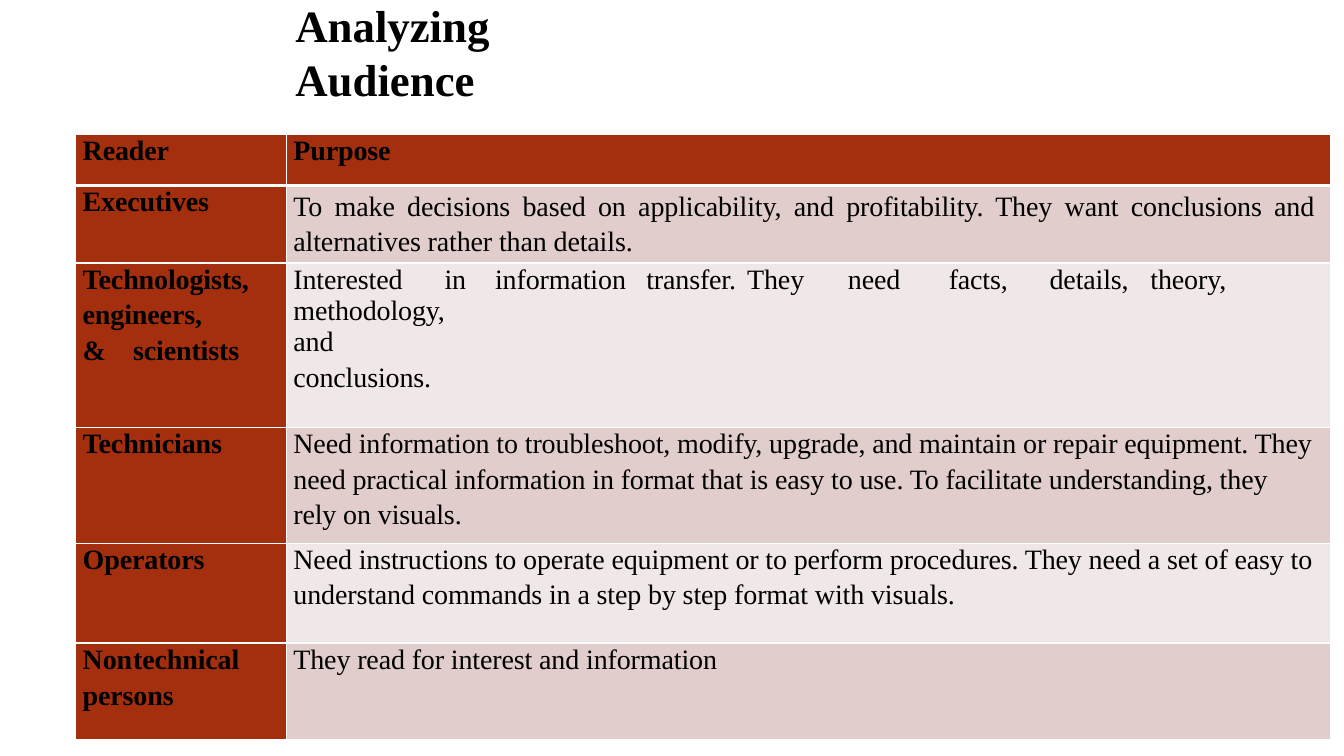
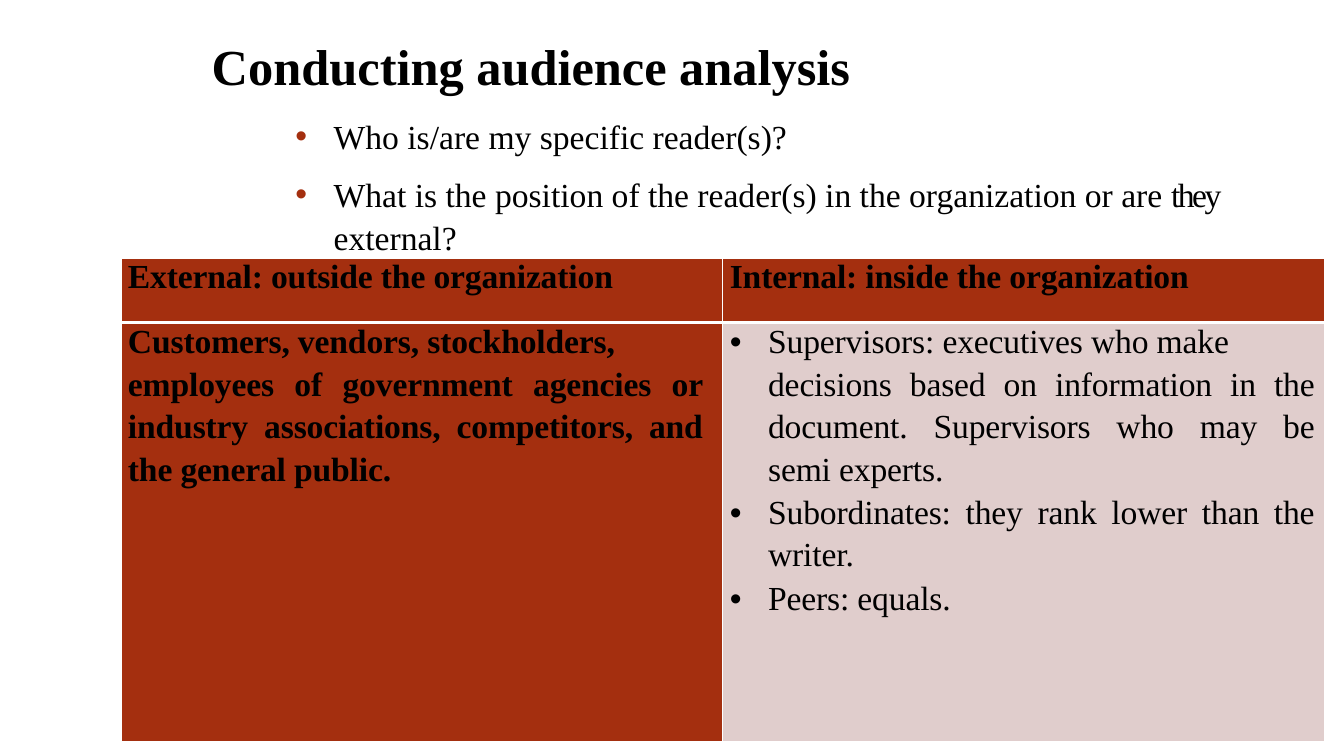
"""Build two slides on analyzing the audience of a technical document."""
from dataclasses import dataclass
from typing import Any, NamedTuple

import lxml.etree
import pptx
import pptx.dml.color
import pptx.enum.text
import pptx.oxml.ns
import pptx.util

Inches, Pt = pptx.util.Inches, pptx.util.Pt
RGBColor = pptx.dml.color.RGBColor
Align, Anchor = pptx.enum.text.PP_ALIGN, pptx.enum.text.MSO_ANCHOR
qn = pptx.oxml.ns.qn

RUST = RGBColor(0xA4, 0x2F, 0x0F)
ROSE = RGBColor(0xE0, 0xCD, 0xCC)
PALE = RGBColor(0xEF, 0xE8, 0xE7)
BLACK = RGBColor(0, 0, 0)
WHITE = RGBColor(0xFF, 0xFF, 0xFF)
WIDTH, HEIGHT = Inches(13.33), Inches(7.5)
FONT = {"name": "Times New Roman"}
TITLE_ONLY, TITLE_AND_BODY = 5, 1
THIN, THICK = 1, 3


class Box(NamedTuple):
    """Place and size in percent of the slide."""

    left: float
    top: float
    width: float
    height: float


class Run(NamedTuple):
    """Text with its letter spacing in points."""

    text: str
    spacing: float = 0


@dataclass(frozen=True)
class Para:
    """One paragraph and its layout."""

    runs: tuple[Run, ...]
    before: float = 0.8
    pitch: float = 1.0
    align: Any = Align.LEFT
    indent: float = 0
    hang: float = 0
    bullet: RGBColor | None = None
    tabs: tuple[float, ...] = ()


@dataclass(frozen=True)
class Cell:
    """Paragraphs of a table cell and its right margin in inches."""

    paras: list[Para]
    right: float = 0


@dataclass(frozen=True)
class Grid:
    """Table position, column and row shares, text size and cells."""

    left: float
    top: float
    cols: list[float]
    rows: list[float]
    size: int
    cells: list[list[Cell]]


def line(text: str, **layout: Any) -> Para:
    """Return a table paragraph with slightly tight letters."""
    return Para((Run(text, -0.1),), **layout)


def lines(first: str, *rest: str) -> Cell:
    """Return a cell whose later lines are set wider apart."""
    return Cell([line(first)] + [line(t, before=0, pitch=1.15) for t in rest])


def set_all(target: Any, values: dict[str, Any]) -> None:
    """Set each attribute named in values."""
    for name, value in values.items():
        setattr(target, name, value)


def add_xml(parent: Any, tag: str, **attrs: Any) -> Any:
    """Append a DrawingML element."""
    return lxml.etree.SubElement(
        parent, qn(tag), {k: str(v) for k, v in attrs.items()})


def write(tf: Any, paras: list[Para], size: int, bold: bool) -> None:
    """Fill a text frame with paragraphs."""
    for i, para in enumerate(paras):
        p = tf.paragraphs[0] if i == 0 else tf.add_paragraph()
        set_all(p, {"alignment": para.align, "line_spacing": para.pitch,
                    "space_before": Pt(para.before), "space_after": Pt(0)})
        pPr = p._p.get_or_add_pPr()
        pPr.set("marL", str(Inches(para.indent)))
        pPr.set("indent", str(-Inches(para.hang)))
        if para.bullet is not None:
            add_xml(add_xml(pPr, "a:buClr"), "a:srgbClr", val=para.bullet)
            add_xml(pPr, "a:buFont", typeface="Arial")
            add_xml(pPr, "a:buChar", char="•")
        if para.tabs:
            tabs = add_xml(pPr, "a:tabLst")
            for stop in para.tabs:
                add_xml(tabs, "a:tab", pos=Inches(stop), algn="l")
        for run in para.runs:
            r = p.add_run()
            r.text = run.text
            set_all(r.font, FONT | {"size": Pt(size), "bold": bold})
            r.font.color.rgb = BLACK
            if run.spacing:
                r._r.get_or_add_rPr().set("spc", str(round(run.spacing * 100)))


def fill_placeholder(sp: Any, box: Box, paras: list[Para], size: int,
                     bold: bool, anchor: Any, inset: float) -> None:
    """Move a template placeholder and write its text."""
    set_all(sp, {"left": int(WIDTH * box.left / 100),
                 "top": int(HEIGHT * box.top / 100),
                 "width": int(WIDTH * box.width / 100),
                 "height": int(HEIGHT * box.height / 100)})
    tf = sp.text_frame
    set_all(tf, {"margin_left": 0, "margin_right": 0, "margin_bottom": 0,
                 "margin_top": Inches(inset), "word_wrap": True,
                 "vertical_anchor": anchor,
                 "auto_size": pptx.enum.text.MSO_AUTO_SIZE.NONE})
    write(tf, paras, size, bold)


def add_titled(prs: Any, layout: int, text: str, box: Box, size: int) -> Any:
    """Add a slide and set its title."""
    s = prs.slides.add_slide(prs.slide_layouts[layout])
    para = Para((Run(text),), indent=0.01)
    fill_placeholder(s.shapes.title, box, [para], size, True,
                     Anchor.MIDDLE, 0.01)
    return s


def set_borders(cell: Any, row: int) -> None:
    """Draw white cell borders, thick below the header row."""
    tcPr = cell._tc.get_or_add_tcPr()
    widths = {"a:lnL": THIN, "a:lnR": THIN,
              "a:lnT": THICK if row == 1 else THIN,
              "a:lnB": THICK if row == 0 else THIN}
    for i, (tag, width) in enumerate(widths.items()):
        ln = add_xml(tcPr, tag, w=Pt(width))
        add_xml(add_xml(ln, "a:solidFill"), "a:srgbClr", val=WHITE)
        tcPr.insert(i, ln)


def add_grid(s: Any, grid: Grid) -> None:
    """Add a table with a rust header row and first column."""
    widths = [int(WIDTH * c / 100) for c in grid.cols]
    heights = [int(HEIGHT * r / 100) for r in grid.rows]
    table = s.shapes.add_table(
        len(heights), len(widths), int(WIDTH * grid.left / 100),
        int(HEIGHT * grid.top / 100), sum(widths), sum(heights)).table
    for column, width in zip(table.columns, widths):
        column.width = width
    for i, (row, height) in enumerate(zip(table.rows, heights)):
        row.height = height
        for j, content in enumerate(grid.cells[i]):
            cell = table.cell(i, j)
            head = i == 0 or j == 0
            set_all(cell, {"margin_left": Inches(0.07),
                           "margin_right": Inches(content.right),
                           "margin_top": Inches(0.01), "margin_bottom": 0})
            cell.fill.solid()
            cell.fill.fore_color.rgb = RUST if head else (PALE, ROSE)[i % 2]
            set_borders(cell, i)
            write(cell.text_frame, content.paras, grid.size, head)


READER_TABS = (1.32, 1.69, 3.16, 4.21, 4.93, 5.61, 6.36, 7.31, 8.22)
READERS = Grid(
    5.63, 17.73, [15.68, 77.72], [6.8, 10.27, 21.73, 15.33, 13.2, 12.8], 20, [
        [lines("Reader"), lines("Purpose")],
        [lines("Executives"),
         Cell([line("To make decisions based on applicability, and "
                    "profitability. They want conclusions and alternatives "
                    "rather than details.", before=0, pitch=1.15,
                    align=Align.JUSTIFY)], right=0.17)],
        [Cell([line("Technologists,"),
               line("engineers,", before=0, pitch=1.15),
               line("&\tscientists", before=0, pitch=1.15, tabs=(0.37,))]),
         Cell([line("Interested\tin\tinformation\ttransfer.\tThey\tneed\t"
                    "facts,\tdetails,\ttheory,\tmethodology,",
                    tabs=READER_TABS),
               line("and", before=0),
               line("conclusions.", before=3.6)])],
        [lines("Technicians"),
         lines("Need information to troubleshoot, modify, upgrade, and "
               "maintain or repair equipment. They",
               "need practical information in format that is easy to use. "
               "To facilitate understanding, they",
               "rely on visuals.")],
        [lines("Operators"),
         lines("Need instructions to operate equipment or to perform "
               "procedures. They need a set of easy to",
               "understand commands in a step by step format with visuals.")],
        [Cell([line("Non\ttechnical", tabs=(0.95,)),
               line("persons", before=3.6)]),
         lines("They read for interest and information")],
    ])

JUSTIFIED = {"align": Align.JUSTIFY, "pitch": 1.15, "before": 0}
BULLET = {"indent": 0.38, "hang": 0.38, "bullet": BLACK}
LOCATIONS = Grid(
    9, 34.13, [44.78] * 2, [8.53, 55.47], 24, [
        [lines("External: outside the organization"),
         lines("Internal: inside the organization")],
        [Cell([line("Customers, vendors, stockholders,"),
               line("employees of government agencies or industry "
                    "associations, competitors, and the general public.",
                    **JUSTIFIED)], right=0.2),
         Cell([line("Supervisors: executives who make", **BULLET),
               line("decisions based on information in the document. "
                    "Supervisors who may be semi experts.",
                    indent=0.38, **JUSTIFIED),
               line("Subordinates: they rank lower than the writer.",
                    **BULLET, **JUSTIFIED),
               line("Peers: equals.", before=4.3, **BULLET)], right=0.1)],
    ])

QUESTION = {"indent": 0.39, "hang": 0.38, "bullet": RUST, "pitch": 1.08}
QUESTIONS = [
    Para((Run("Who is/are my specific reader(s)?"),), before=10.9, **QUESTION),
    Para((Run("What is the position of the reader(s) in the organization "
              "or are "), Run("they ", -1.8), Run("external?")),
         before=9.9, **QUESTION),
]


def main() -> None:
    """Build and save the presentation."""
    prs = pptx.Presentation()
    set_all(prs, {"slide_width": WIDTH, "slide_height": HEIGHT})
    s = add_titled(prs, TITLE_ONLY, "Analyzing Audience",
                   Box(21.9, 3.07, 28.5, 7.47), 32)
    add_grid(s, READERS)
    s = add_titled(prs, TITLE_AND_BODY, "Conducting audience analysis",
                   Box(15.68, 4.4, 48.76, 8.4), 36)
    fill_placeholder(s.placeholders[1], Box(21.9, 12.93, 69.54, 20),
                     QUESTIONS, 24, False, Anchor.TOP, 0.15)
    add_grid(s, LOCATIONS)
    prs.save("out.pptx")


if __name__ == "__main__":
    main()
